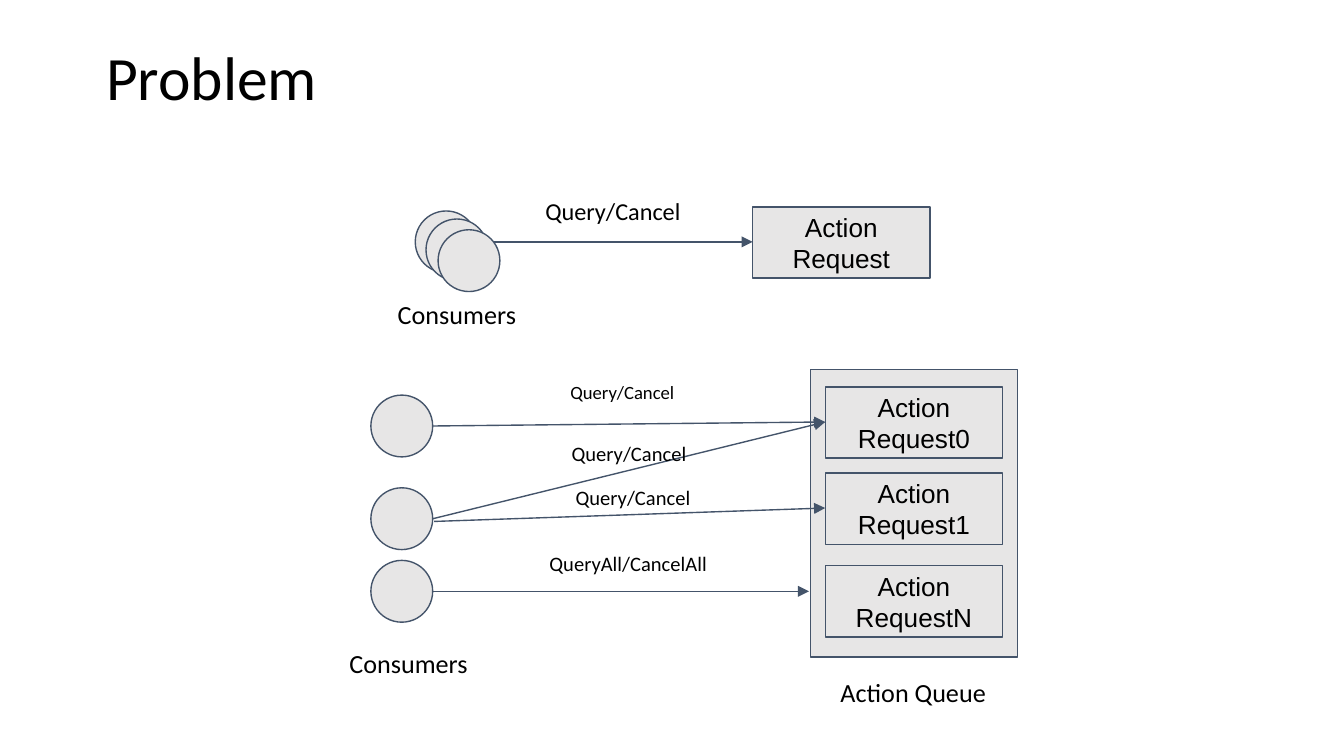
from lxml import etree
from pptx import Presentation
from pptx.dml.color import RGBColor
from pptx.enum.shapes import MSO_CONNECTOR, MSO_SHAPE
from pptx.enum.text import MSO_ANCHOR, PP_ALIGN
from pptx.oxml.ns import qn
from pptx.util import Inches, Pt

RECTANGLE, OVAL = MSO_SHAPE.RECTANGLE, MSO_SHAPE.OVAL
STRAIGHT = MSO_CONNECTOR.STRAIGHT
LEFT, CENTER = PP_ALIGN.LEFT, PP_ALIGN.CENTER
TOP, MIDDLE = MSO_ANCHOR.TOP, MSO_ANCHOR.MIDDLE

GREY, SLATE, BLACK = "E7E6E6", "44546A", "000000"
SLIDE_WIDTH = 10
CONSUMER_SIZE = 0.46
REQUEST_SIZE = (1.32, 0.53)

TITLE = "Problem"
QUEUE = (6.03, 2.75, 1.54, 2.14)
CONSUMERS = [
    (3.09, 1.57), (3.17, 1.63), (3.26, 1.71),
    (2.76, 2.94), (2.76, 3.63), (2.76, 4.17),
]
REQUESTS = [
    ("Action Request", 5.6, 1.54),
    ("Action Request0", 6.14, 2.88),
    ("Action Request1", 6.14, 3.52),
    ("Action RequestN", 6.14, 4.21),
]
CALLS = [
    (3.55, 1.8, 5.6, 1.8),
    (3.22, 3.17, 6.14, 3.14),
    (3.22, 3.86, 6.14, 3.14),
    (3.23, 3.88, 6.14, 3.78),
    (3.22, 4.4, 6.02, 4.4),
]
LABELS = [
    ("Query/Cancel", 13, LEFT, (3.96, 1.36, 1.22, 0.42)),
    ("Consumers", 14, CENTER, (2.79, 2.12, 1.22, 0.43)),
    ("Query/Cancel", 10, CENTER, (4.02, 2.75, 1.22, 0.37)),
    ("Query/Cancel", 11, CENTER, (4.07, 3.19, 1.22, 0.38)),
    ("Query/Cancel", 11, CENTER, (4.1, 3.52, 1.22, 0.38)),
    ("QueryAll/CancelAll", 11, CENTER, (3.96, 4.01, 1.43, 0.38)),
    ("Consumers", 14, CENTER, (2.43, 4.72, 1.22, 0.43)),
    ("Action Queue", 14, CENTER, (6.15, 4.93, 1.29, 0.43)),
]


def color(hex_value):
    """Turn a hex string into a colour."""
    return RGBColor.from_string(hex_value)


def write(frame, text, size, font, align, anchor, inset=0.1):
    """Put one formatted paragraph into a text frame."""
    frame.text = text
    frame.word_wrap = True
    frame.vertical_anchor = anchor
    frame.margin_left = frame.margin_right = Inches(0.1)
    frame.margin_top = frame.margin_bottom = Inches(inset)
    paragraph = frame.paragraphs[0]
    paragraph.alignment = align
    paragraph.font.name = font
    paragraph.font.size = Pt(size)
    paragraph.font.color.rgb = color(BLACK)
    return paragraph


def add_outlined(slide, preset, *box):
    """Add a grey shape with a slate outline."""
    shape = slide.shapes.add_shape(preset, *map(Inches, box))
    shape.shadow.inherit = False
    shape.fill.solid()
    shape.fill.fore_color.rgb = color(GREY)
    shape.line.color.rgb = color(SLATE)
    shape.line.width = Pt(0.75)
    return shape


def add_arrow(slide, *ends):
    """Add a straight arrow between two points."""
    arrow = slide.shapes.add_connector(STRAIGHT, *map(Inches, ends))
    arrow.line.color.rgb = color(SLATE)
    arrow.line.width = Pt(0.75)
    properties = arrow._element.spPr
    etree.SubElement(properties.find(qn("a:ln")), qn("a:tailEnd"), type="triangle")
    etree.SubElement(properties, qn("a:effectLst"))


def main():
    """Build the slide and save it."""
    deck = Presentation()
    deck.slide_width = Inches(SLIDE_WIDTH)
    deck.slide_height = Inches(SLIDE_WIDTH * 9 / 16)
    slide = deck.slides.add_slide(deck.slide_layouts[5])

    title = slide.shapes.title
    title.left, title.top, title.width, title.height = map(Inches, (0.69, 0.3, 8.62, 0.77))
    heading = write(title.text_frame, TITLE, 33, "Calibri", LEFT, TOP, 0.05)
    heading.line_spacing = 0.9

    add_outlined(slide, RECTANGLE, *QUEUE)
    for ends in CALLS:
        add_arrow(slide, *ends)
    for left, top in CONSUMERS:
        add_outlined(slide, OVAL, left, top, CONSUMER_SIZE, CONSUMER_SIZE)
    for text, left, top in REQUESTS:
        request = add_outlined(slide, RECTANGLE, left, top, *REQUEST_SIZE)
        write(request.text_frame, text, 14, "Arial", CENTER, MIDDLE)
    for text, size, align, box in LABELS:
        label = slide.shapes.add_textbox(*map(Inches, box))
        write(label.text_frame, text, size, "Calibri", align, TOP)

    deck.save("out.pptx")


if __name__ == "__main__":
    main()
